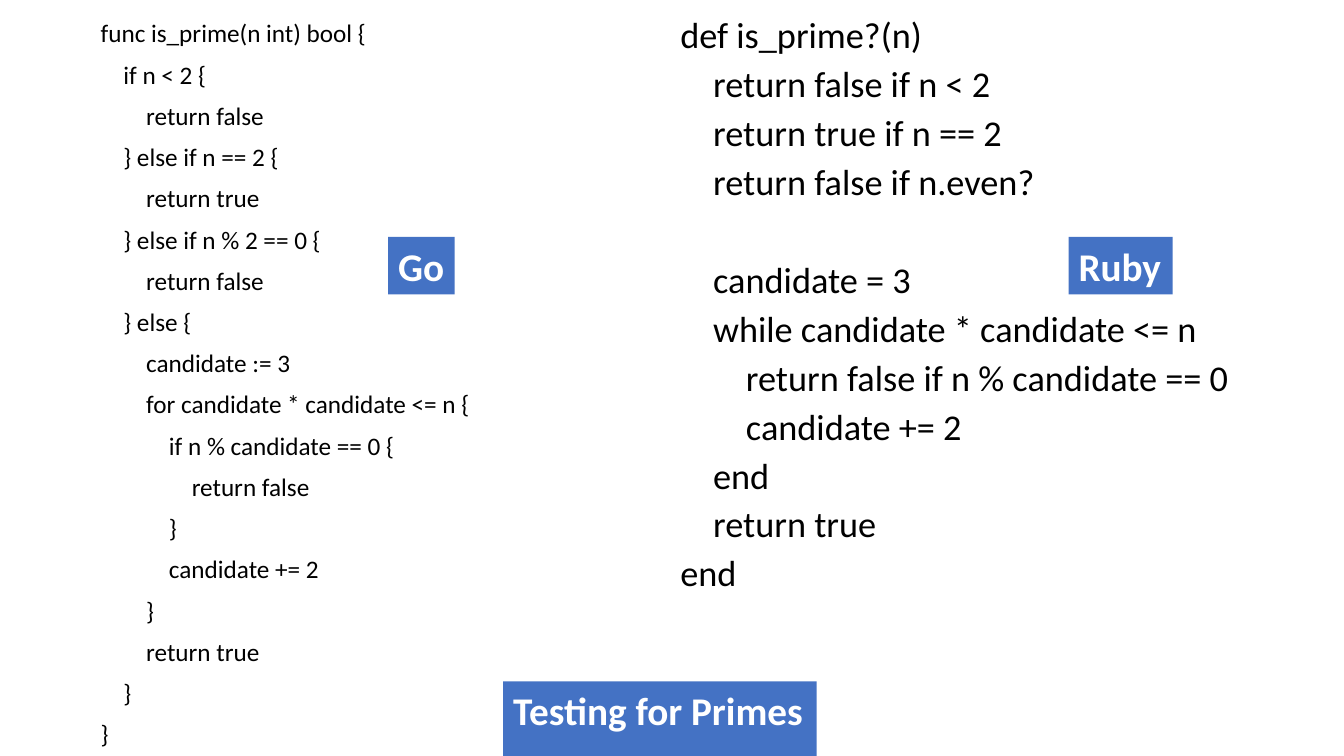
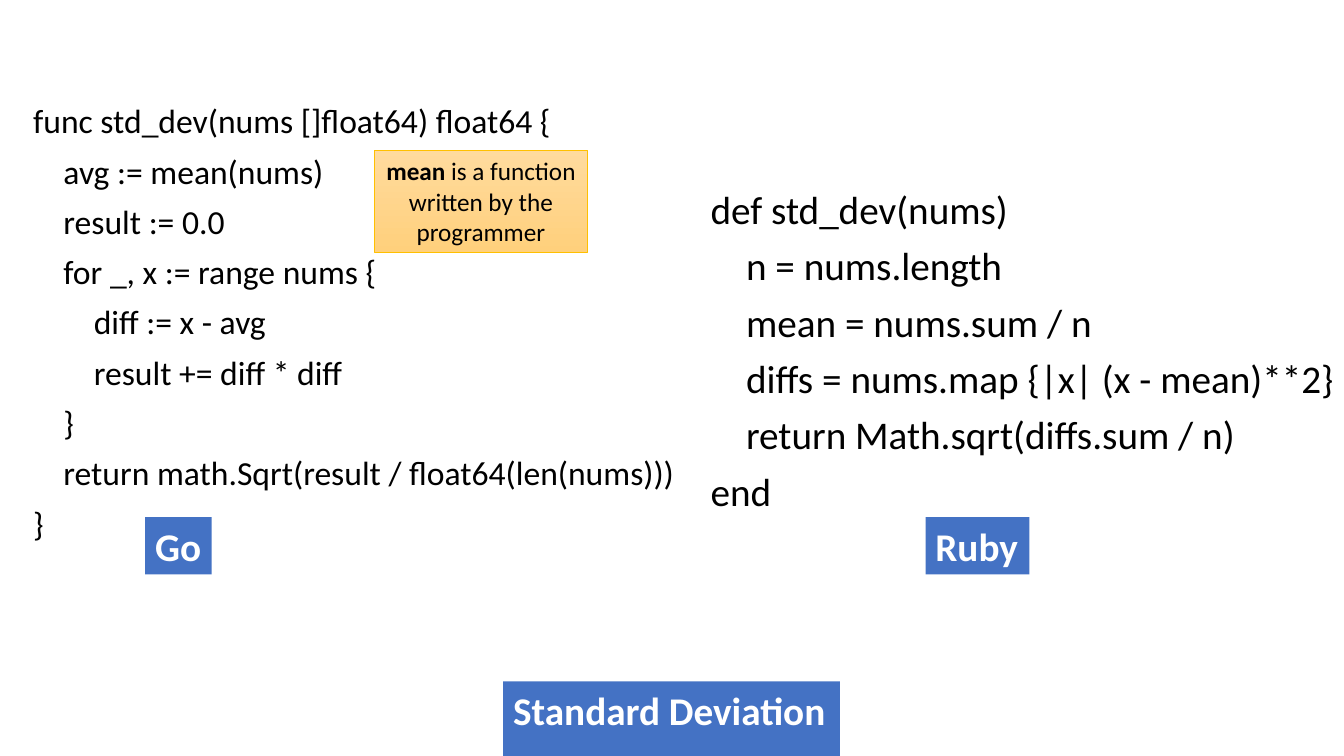
from pptx import Presentation
from pptx import util as u
from pptx.dml import color
from pptx.enum import shapes, text

FONT = "Calibri"
HUES = {"ink": "000000", "tag": "4472C4", "pale": "FFFFFF",
        "top": "FFDB9E", "base": "FFD07C", "edge": "FFC000"}
LEAD = 10       # points before each line of code
STEP = 0.226    # width of one space, as a share of the text size

GO_PRIME = """\
func is_prime(n int) bool {
    if n < 2 {
        return false
    } else if n == 2 {
        return true
    } else if n % 2 == 0 {
        return false
    } else {
        candidate := 3
        for candidate * candidate <= n {
            if n % candidate == 0 {
                return false
            }
            candidate += 2
        }
        return true
    }
}"""

RUBY_PRIME = """\
def is_prime?(n)
    return false if n < 2
    return true if n == 2
    return false if n.even?

    candidate = 3
    while candidate * candidate <= n
        return false if n % candidate == 0
        candidate += 2
    end
    return true
end"""

GO_DEV = """\
func std_dev(nums []float64) float64 {
    avg := mean(nums)
    result := 0.0
    for _, x := range nums {
        diff := x - avg
        result += diff * diff
    }
    return math.Sqrt(result / float64(len(nums)))
}"""

RUBY_DEV = """\
def std_dev(nums)
    n = nums.length
    mean = nums.sum / n
    diffs = nums.map {|x| (x - mean)**2}
    return Math.sqrt(diffs.sum / n)
end"""


def hue(name):
    return color.RGBColor.from_string(HUES[name])


def place(shape, box):
    shape.left, shape.top, shape.width, shape.height = map(u.Inches, box)


def style(para, size, ink, bold=None):
    font = para.font
    font.name, font.size, font.bold = FONT, u.Pt(size), bold
    font.color.rgb = hue(ink)


def code(slide, box, lines, size, pitch=0.9):
    """Lay out a listing; leading spaces become indents, blank lines become space."""
    frame = slide.shapes.add_textbox(*map(u.Inches, box)).text_frame
    frame.word_wrap = True
    gap = LEAD
    for i, line in enumerate(lines.splitlines()):
        if not line:
            gap += LEAD + size * 1.22 * pitch
            continue
        para = frame.add_paragraph() if i else frame.paragraphs[0]
        para.text = line.lstrip()
        para.line_spacing, para.space_before = pitch, u.Pt(gap)
        depth = len(line) - len(para.text)
        para._p.get_or_add_pPr().set("marL", str(u.Pt(depth * STEP * size)))
        style(para, size, "ink")
        gap = LEAD


def tag(shape, box, words):
    """Blue label with bold white text, used for titles and languages."""
    place(shape, box)
    shape.fill.solid()
    shape.fill.fore_color.rgb = hue("tag")
    frame = shape.text_frame
    frame.text = words
    frame.word_wrap = False
    frame.auto_size = text.MSO_AUTO_SIZE.SHAPE_TO_FIT_TEXT
    frame.vertical_anchor = text.MSO_ANCHOR.TOP
    para = frame.paragraphs[0]
    para.alignment = text.PP_ALIGN.LEFT
    style(para, 28, "pale", True)


def note(slide, box, term, rest):
    """Amber remark that opens with a bold term."""
    shape = slide.shapes.add_shape(shapes.MSO_SHAPE.RECTANGLE, *map(u.Inches, box))
    shape.shadow.inherit = False
    shape.fill.gradient()
    shape.fill.gradient_angle = 270
    for stop, name in zip(shape.fill.gradient_stops, ("top", "base")):
        stop.color.rgb = hue(name)
    shape.line.color.rgb = hue("edge")
    shape.line.width = u.Pt(0.5)
    frame = shape.text_frame
    frame.word_wrap = True
    para = frame.paragraphs[0]
    para.alignment = text.PP_ALIGN.CENTER
    style(para, 18, "ink")
    for words, bold in ((term, True), (rest, False)):
        run = para.add_run()
        run.text, run.font.bold = words, bold


def page(deck, title, width, row, go_x, ruby_x):
    """Slide with its title at the foot and both language labels on one row."""
    slide = deck.slides.add_slide(deck.slide_layouts[5])
    tag(slide.shapes.title, (4.99, 6.76, width, 0.57), title)
    for words, x, wide in (("Go", go_x, 0.66), ("Ruby", ruby_x, 1.03)):
        box = (x, row, wide, 0.57)
        tag(slide.shapes.add_textbox(*map(u.Inches, box)), box, words)
    return slide


deck = Presentation()
deck.slide_width, deck.slide_height = u.Inches(13.33), u.Inches(7.5)

# Primes
prime = page(deck, "Testing for Primes", 3.11, 2.35, 3.85, 10.6)
code(prime, (0.9, 0.16, 5.64, 6.32), GO_PRIME, 18)
code(prime, (6.65, 0.16, 5.67, 6.2), RUBY_PRIME, 25.9, 0.8)

# Standard deviation
dev = page(deck, "Standard Deviation", 3.34, 5.13, 1.44, 9.18)
code(dev, (0.23, 0.99, 6.72, 6.32), GO_DEV, 24)
code(dev, (6.95, 1.84, 6.46, 3.72), RUBY_DEV, 28)
note(dev, (3.71, 1.49, 2.12, 1.01), "mean", " is a function written by the programmer")

deck.save("out.pptx")
